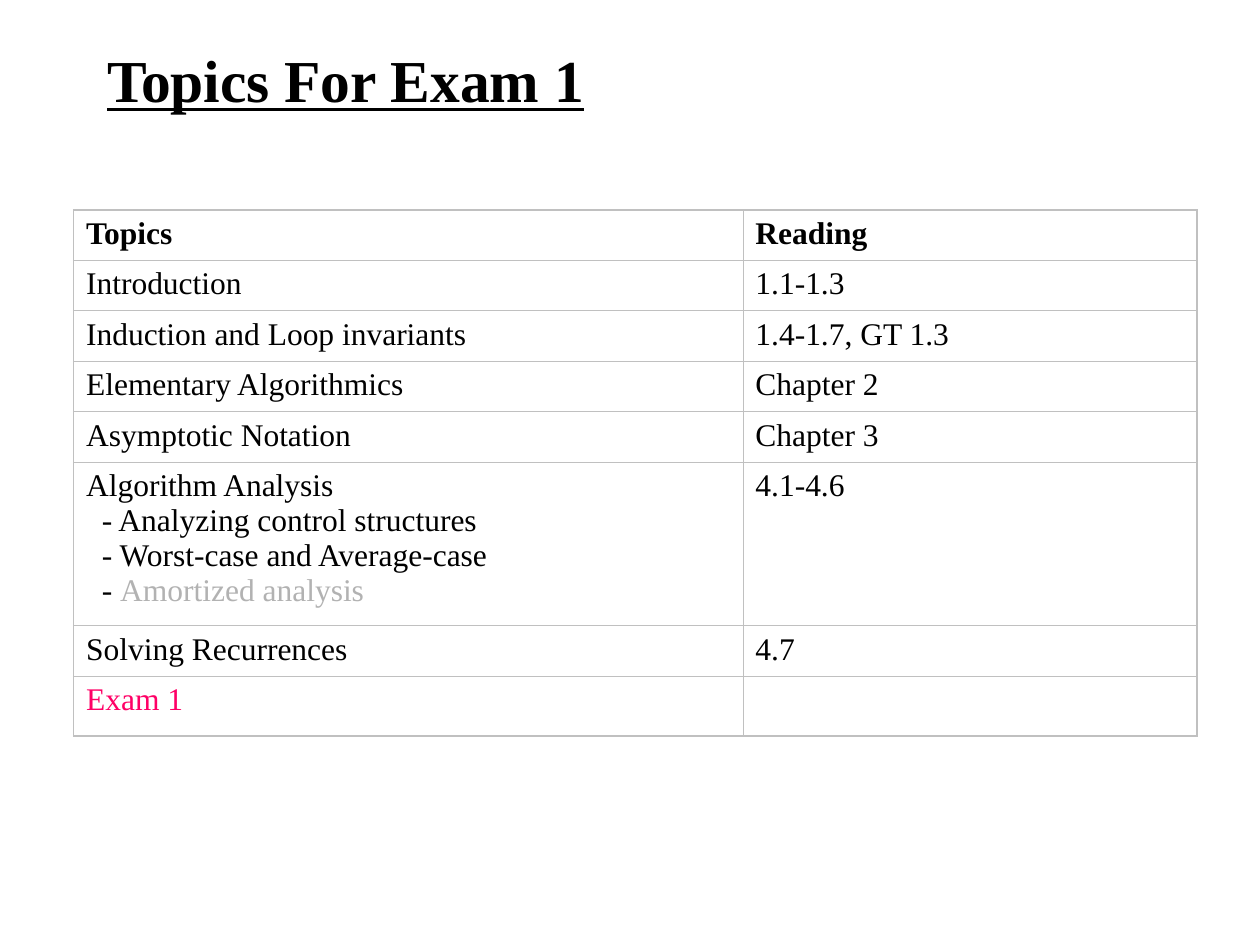
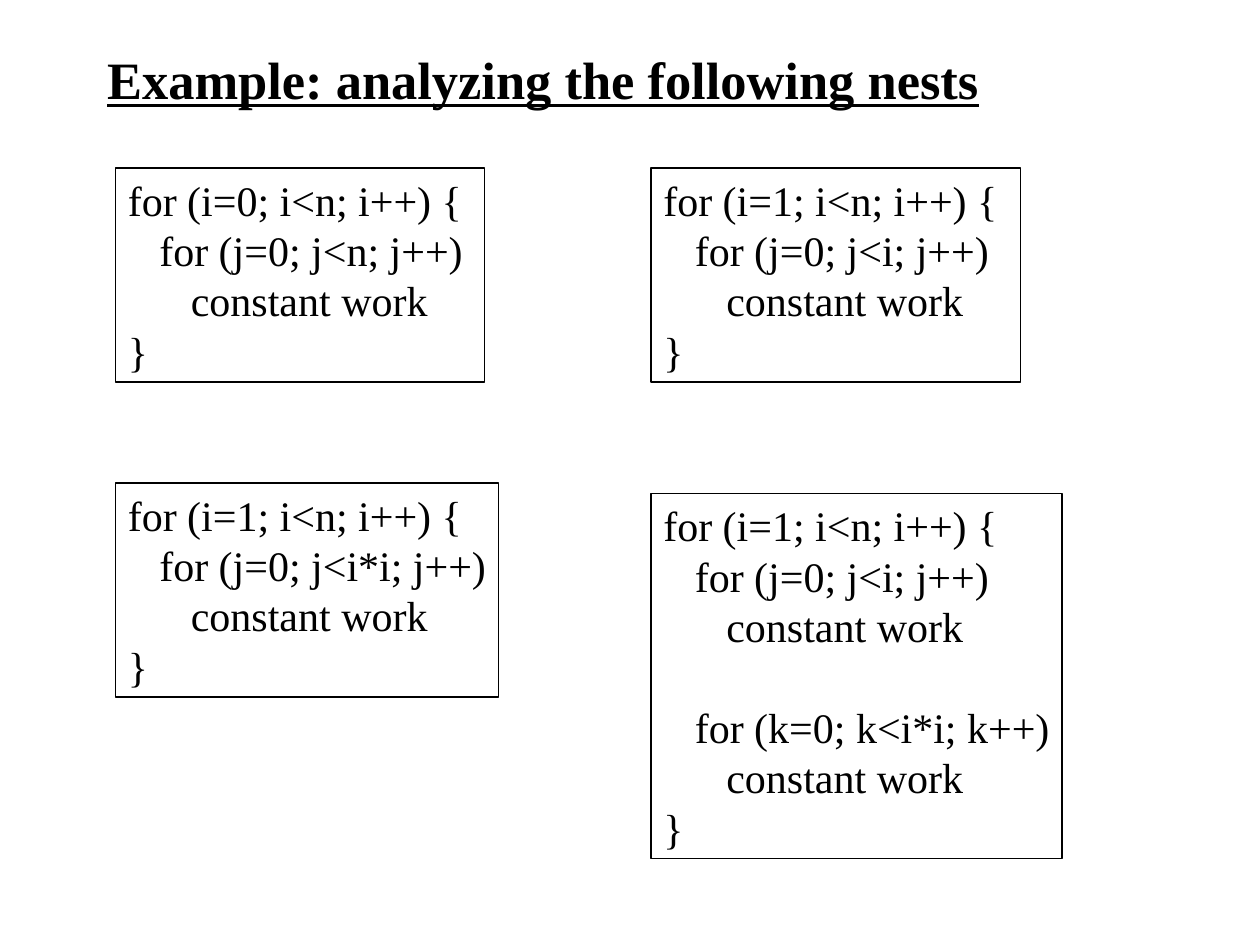
"""Build the exam topics slide and the loop nest examples slide."""
from lxml import etree
from pptx import Presentation
from pptx.dml.color import RGBColor
from pptx.enum.text import MSO_ANCHOR as Anchor, MSO_AUTO_SIZE as AutoSize, PP_ALIGN as Align
from pptx.oxml.ns import qn
from pptx.util import Pt

BLACK = RGBColor(0x00, 0x00, 0x00)
WHITE = RGBColor(0xFF, 0xFF, 0xFF)
BORDER_GRAY = RGBColor(0xC0, 0xC0, 0xC0)
MUTED_GRAY = RGBColor(0xB2, 0xB2, 0xB2)
EXAM_PINK = RGBColor(0xFF, 0x00, 0x66)

TOPICS = [
    ("Topics", "Reading"),
    ("Introduction", "1.1-1.3"),
    ("Induction and Loop invariants", "1.4-1.7, GT 1.3"),
    ("Elementary Algorithmics", "Chapter 2"),
    ("Asymptotic Notation", "Chapter 3"),
    ("Algorithm Analysis", "4.1-4.6"),
    ("Solving Recurrences", "4.7"),
    ("Exam 1", ""),
]
ANALYSIS_ROW, EXAM_ROW = 5, 7
ANALYSIS_PARTS = ["- Analyzing control structures", "- Worst-case and Average-case", "- "]
ROW_HEIGHTS = [28.8] * 5 + [93.6, 28.8, 34.3]
COLUMN_WIDTHS = [382.5, 259.5]


def nest(start, *inner_loops):
    """Return (text, indent level, gap before) for each line of a loop nest."""
    lines = [(f"for (i={start}; i<n; i++) {{", 0, 0)]
    for position, (name, limit) in enumerate(inner_loops):
        header = f"for ({name}=0; {name}<{limit}; {name}++)"
        lines += [(header, 1, 28.8 * position), ("constant work", 2, 0)]
    return lines + [("}", 0, 0)]


class Deck:
    """Hold the shared style and the current slide."""
    font_name = "Times New Roman"

    def __init__(self):
        self.presentation = Presentation()
        self.presentation.slide_width = Pt(720)
        self.presentation.slide_height = Pt(540)
        self.slide = None

    def style(self, paragraph, size, bold=False, color=BLACK, indent=0, spacing=None):
        """Format one paragraph."""
        font = paragraph.font
        font.name, font.size, font.bold = self.font_name, Pt(size), bold
        font.color.rgb = color
        paragraph.alignment = Align.LEFT
        if spacing:
            paragraph.line_spacing = Pt(spacing)
        if indent:
            paragraph._p.get_or_add_pPr().set("marL", str(Pt(indent)))

    def new_slide(self, title, size, width):
        """Start a title-only slide with an underlined title."""
        self.slide = self.presentation.slides.add_slide(self.presentation.slide_layouts[5])
        self.slide.background.fill.solid()
        self.slide.background.fill.fore_color.rgb = WHITE
        shape = self.slide.shapes.title
        shape.left, shape.top, shape.width, shape.height = Pt(54), Pt(24), Pt(width), Pt(42)
        frame = shape.text_frame
        frame.text = title
        frame.auto_size, frame.vertical_anchor = AutoSize.NONE, Anchor.MIDDLE
        self.style(frame.paragraphs[0], size, bold=True)
        frame.paragraphs[0].font.underline = True

    def code_box(self, left, top, width, height, lines):
        """Add an outlined box of indented code lines."""
        box = self.slide.shapes.add_textbox(Pt(left), Pt(top), Pt(width), Pt(height))
        box.line.color.rgb, box.line.width = BLACK, Pt(0.75)
        frame = box.text_frame
        frame.word_wrap, frame.margin_right = True, 0
        for position, (text, level, gap) in enumerate(lines):
            paragraph = frame.add_paragraph() if position else frame.paragraphs[0]
            paragraph.text = text
            self.style(paragraph, 24, indent=18 * level, spacing=28.8)
            if gap:
                paragraph.space_before = Pt(gap)

    def border(self, cell, outer_edges):
        """Draw the cell borders, heavier on the outer edges of the table."""
        properties = cell._tc.get_or_add_tcPr()
        for position, edge in enumerate(("lnL", "lnR", "lnT", "lnB")):
            width = Pt(0.96 if edge in outer_edges else 0.45)
            line = etree.Element(qn(f"a:{edge}"), w=str(width))
            fill = etree.SubElement(line, qn("a:solidFill"))
            etree.SubElement(fill, qn("a:srgbClr"), val=str(BORDER_GRAY))
            properties.insert(position, line)

    def table(self, left, top, rows, widths, heights):
        """Add a plain bordered table with a bold first row."""
        frame = self.slide.shapes.add_table(len(rows), len(widths), Pt(left), Pt(top),
                                            Pt(sum(widths)), Pt(sum(heights)))
        table = frame.table
        table.first_row = table.horz_banding = False
        for column, width in zip(table.columns, widths):
            column.width = Pt(width)
        for row_index, (texts, height) in enumerate(zip(rows, heights)):
            table.rows[row_index].height = Pt(height)
            for column_index, text in enumerate(texts):
                cell = table.cell(row_index, column_index)
                cell.text = text
                cell.fill.background()
                self.style(cell.text_frame.paragraphs[0], 18, bold=row_index == 0, spacing=20)
                outer_edges = {"lnR" if column_index else "lnL"}
                if row_index == 0:
                    outer_edges.add("lnT")
                if row_index == len(rows) - 1:
                    outer_edges.add("lnB")
                self.border(cell, outer_edges)
        return table


def main():
    deck = Deck()
    deck.new_slide("Topics For Exam 1", 34, 486)
    table = deck.table(42, 120, TOPICS, COLUMN_WIDTHS, ROW_HEIGHTS)
    table.cell(EXAM_ROW, 0).text_frame.paragraphs[0].font.color.rgb = EXAM_PINK
    analysis = table.cell(ANALYSIS_ROW, 0).text_frame
    for part in ANALYSIS_PARTS:
        paragraph = analysis.add_paragraph()
        paragraph.text = part
        deck.style(paragraph, 18, indent=9, spacing=20)
    muted = paragraph.add_run()
    muted.text = "Amortized analysis"
    muted.font.color.rgb = MUTED_GRAY

    deck.new_slide("Example: analyzing the following nests", 30, 564)
    deck.code_box(66, 96, 211, 122.4, nest(0, ("j", "n")))
    deck.code_box(372, 96, 211, 122.4, nest(1, ("j", "i")))
    deck.code_box(66, 276, 219, 122.4, nest(1, ("j", "i*i")))
    deck.code_box(372, 282, 235, 208.8, nest(1, ("j", "i"), ("k", "i*i")))
    deck.presentation.save("out.pptx")


if __name__ == "__main__":
    main()
